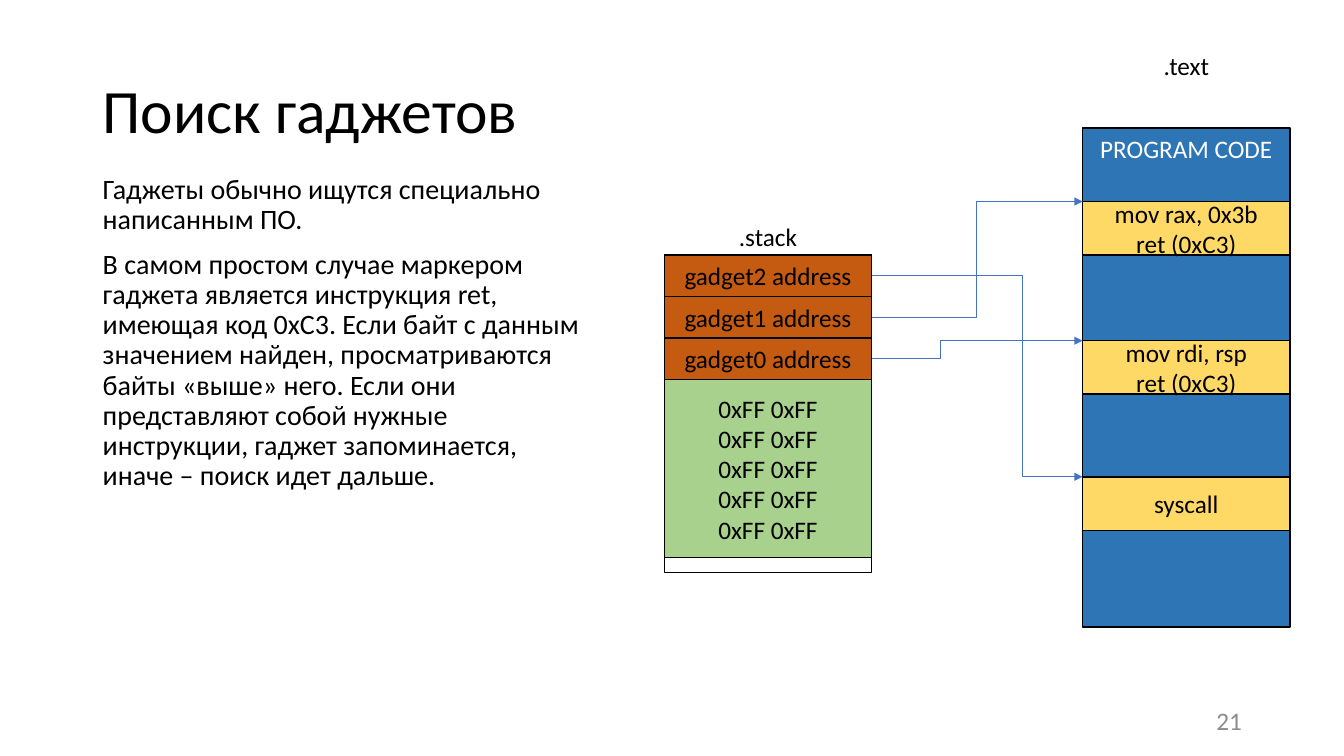
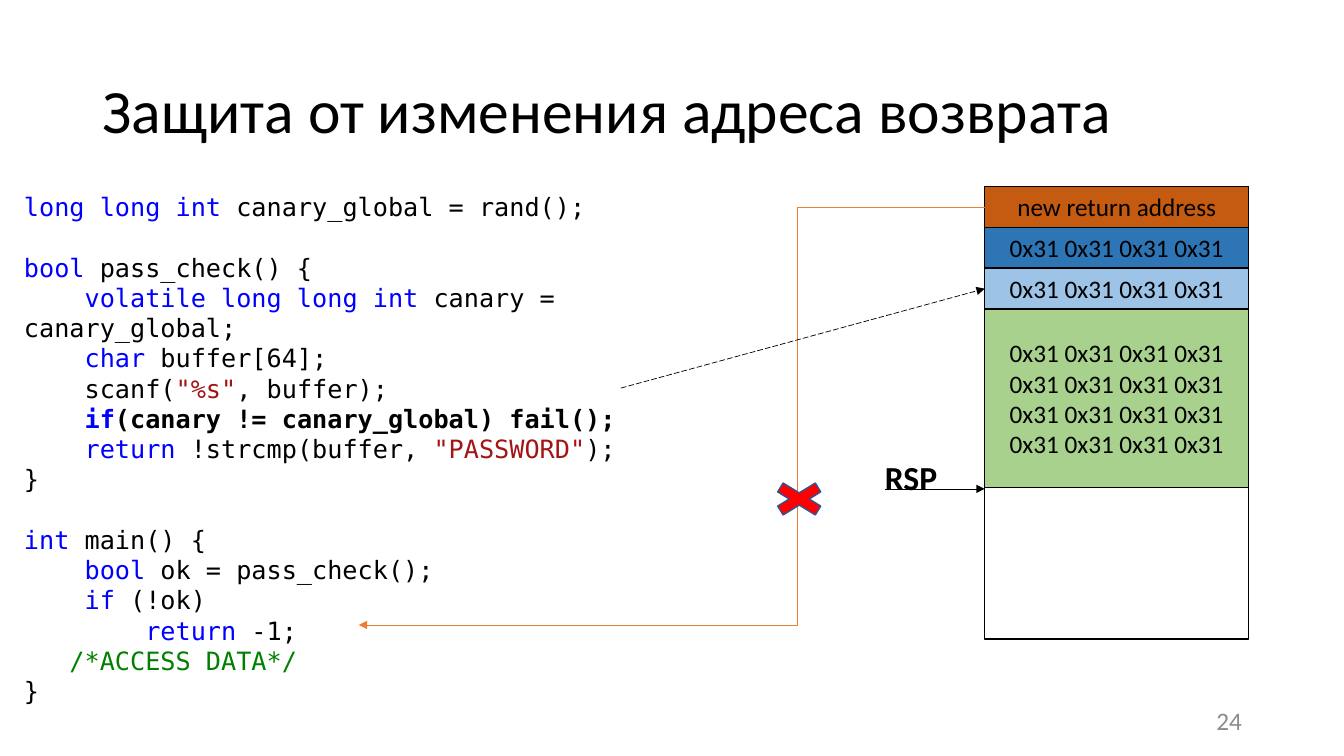
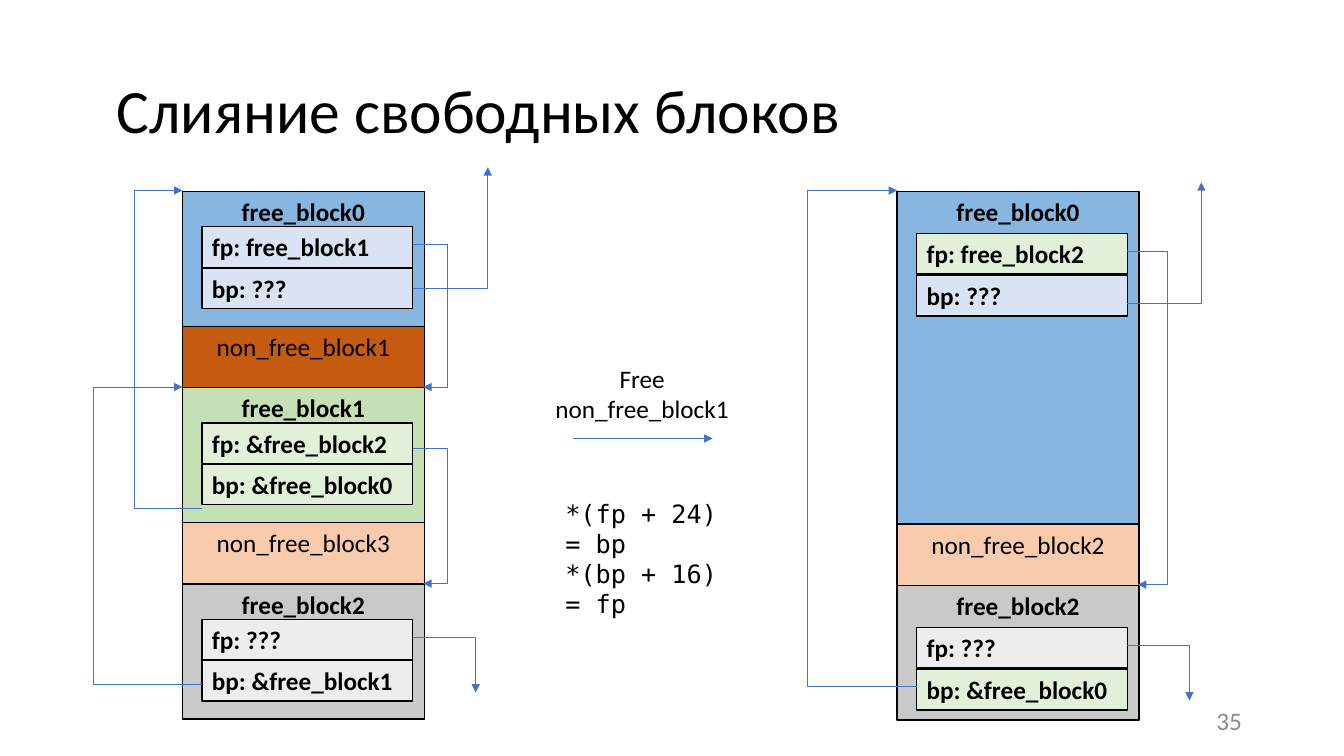
from dataclasses import dataclass

from lxml import etree
from pptx import Presentation
from pptx import util as u
from pptx.dml import color
from pptx.enum import dml, shapes, text
from pptx.oxml import ns


@dataclass(frozen=True)
class Theme:
    sans: str = "Calibri"
    mono: str = "DejaVu Sans Mono"
    title_size: float = 44
    mark_size: float = 24
    body_size: float = 20
    label_size: float = 18
    code_pitch: float = 21.6
    outline: float = 1
    wire: float = 0.5
    black: str = "000000"
    white: str = "FFFFFF"
    grey: str = "8C8C8C"
    link: str = "4472C4"
    orange: str = "ED7D31"
    red: str = "FF0000"
    cross_edge: str = "325491"
    rust: str = "C55A11"
    peach: str = "F8CBAD"
    yellow: str = "FFD966"
    deep_blue: str = "2E75B6"
    light_blue: str = "9DC3E6"
    block_blue: str = "87B6E1"
    field_blue: str = "DAE3F3"
    green: str = "A9D18E"
    block_green: str = "C5E0B4"
    field_green: str = "E2F0D9"
    block_grey: str = "C9C9C9"
    field_grey: str = "EDEDED"
    keyword: str = "0000FF"
    string: str = "A31515"
    comment: str = "008000"


THEME = Theme()
LEFT, CENTER, RIGHT = text.PP_ALIGN.LEFT, text.PP_ALIGN.CENTER, text.PP_ALIGN.RIGHT
TOP, MIDDLE = text.MSO_ANCHOR.TOP, text.MSO_ANCHOR.MIDDLE


@dataclass(frozen=True)
class Box:
    x: float
    y: float
    w: float
    h: float

    @property
    def right(self):
        return self.x + self.w

    @property
    def middle(self):
        return self.y + self.h / 2

    def offset_box(self, dx, dy, w, h):
        return Box(self.x + dx, self.y + dy, w, h)

    def lengths(self):
        return [u.Pt(value) for value in (self.x, self.y, self.w, self.h)]


TITLE = Box(66.2, 28.8, 828, 104.4)
NUMBER = Box(678.2, 500.4, 216, 28.8)


def rgb(value):
    return color.RGBColor.from_string(value)


def style(span, size, ink=THEME.black, bold=False, face=THEME.sans):
    span.font.name = face
    span.font.size = u.Pt(size)
    span.font.bold = bold
    span.font.color.rgb = rgb(ink)


def write(frame, words, size=THEME.label_size, align=LEFT, anchor=TOP, **look):
    """Fill a text frame, one paragraph for each line of words."""
    frame.text = words
    frame.vertical_anchor = anchor
    for para in frame.paragraphs:
        para.alignment = align
        for span in para.runs:
            style(span, size, **look)


def place(placeholder, box):
    placeholder.left, placeholder.top, placeholder.width, placeholder.height = box.lengths()
    placeholder.text_frame.auto_size = text.MSO_AUTO_SIZE.NONE
    return placeholder.text_frame


def label(page, box, words, wrap=True, **look):
    frame = page.shapes.add_textbox(*box.lengths()).text_frame
    frame.word_wrap = wrap
    write(frame, words, **look)


def figure(page, kind, box, fill=None, edge=THEME.black):
    shape = page.shapes.add_shape(kind, *box.lengths())
    shape.shadow.inherit = False
    if fill:
        shape.fill.solid()
        shape.fill.fore_color.rgb = rgb(fill)
    else:
        shape.fill.background()
    shape.line.color.rgb = rgb(edge)
    shape.line.width = u.Pt(THEME.outline)
    return shape


def cell(page, box, fill=None, words="", align=CENTER, anchor=MIDDLE, **look):
    shape = figure(page, shapes.MSO_SHAPE.RECTANGLE, box, fill)
    if words:
        write(shape.text_frame, words, align=align, anchor=anchor, **look)


def arrow(page, start, end, kind=shapes.MSO_CONNECTOR.STRAIGHT, ink=THEME.link, dash=None):
    points = [u.Pt(value) for value in (*start, *end)]
    line = page.shapes.add_connector(kind, *points)
    line.line.color.rgb = rgb(ink)
    line.line.width = u.Pt(THEME.wire)
    if dash:
        line.line.dash_style = dash
    properties = line._element.spPr
    etree.SubElement(properties.find(ns.qn("a:ln")), ns.qn("a:tailEnd"), type="triangle")
    etree.SubElement(properties, ns.qn("a:effectLst"))
    return line


def elbow(page, start, end, bend=None, ink=THEME.link):
    """Bent arrow turning at x = bend, or with one corner when bend is None."""
    line = arrow(page, start, end, shapes.MSO_CONNECTOR.ELBOW, ink)
    geometry = line._element.spPr.find(ns.qn("a:prstGeom"))
    if bend is None:
        geometry.set("prst", "bentConnector2")
        return
    share = round(100000 * (bend - start[0]) / (end[0] - start[0]))
    guides = geometry.find(ns.qn("a:avLst"))
    etree.SubElement(guides, ns.qn("a:gd"), name="adj1", fmla=f"val {share}")


def new_page(deck, layout, title, number, indent=0):
    page = deck.slides.add_slide(deck.slide_layouts.get_by_name(layout))
    frame = place(page.shapes.title, TITLE)
    write(frame, title, size=THEME.title_size, anchor=MIDDLE)
    frame.margin_left = u.Pt(7.2 + indent)
    frame.paragraphs[0].line_spacing = 0.9
    label(page, NUMBER, str(number), align=RIGHT, anchor=MIDDLE, ink=THEME.grey)
    return page


def body_text(page, box, words):
    frame = place(page.placeholders[1], box)
    frame.text = words
    for index, para in enumerate(frame.paragraphs):
        properties = para._p.get_or_add_pPr()
        properties.set("marL", "0")
        properties.set("indent", "0")
        etree.SubElement(properties, ns.qn("a:buNone"))
        para.line_spacing = 0.9
        para.space_before = u.Pt(10 if index else 0)
        for span in para.runs:
            style(span, THEME.body_size)


def stack(page, box, cells):
    """Outline the box, fill it from the top with (height, fill, words), return the cells' boxes."""
    cell(page, box)
    placed, top = [], 0
    for height, fill, words in cells:
        placed.append(box.offset_box(0, top, box.w, height))
        cell(page, placed[-1], fill, words)
        top += height
    return placed


def program_memory(page, box, gadgets):
    """Draw the code column with (offset, words) gadgets; return their entry points."""
    cell(page, box, THEME.deep_blue, "PROGRAM CODE", anchor=TOP, ink=THEME.white)
    for offset, words in gadgets:
        cell(page, box.offset_box(0, offset, box.w, 38.2), THEME.yellow, words)
    return [(box.x, box.y + offset) for offset, _ in gadgets]


def code_listing(page, box, lines):
    """Write lines of (kind, words) spans; an empty line becomes space before the next."""
    frame = page.shapes.add_textbox(*box.lengths()).text_frame
    frame.word_wrap = True
    inks = {"plain": THEME.black, "bold": THEME.black, "key": THEME.keyword,
            "boldkey": THEME.keyword, "string": THEME.string, "comment": THEME.comment}
    para, gap = frame.paragraphs[0], 0
    for index, line in enumerate(lines):
        if not line:
            gap = THEME.code_pitch
            continue
        if index:
            para = frame.add_paragraph()
        para.line_spacing = u.Pt(THEME.code_pitch)
        para.space_before = u.Pt(gap)
        gap = 0
        for kind, words in line:
            span = para.add_run()
            span.text = words
            style(span, THEME.label_size, inks[kind], kind.startswith("bold"), THEME.mono)


def heap(page, box, blocks, field_top, field_step, links):
    """Stack (name, height, fill, fields) blocks, then draw links relative to the box."""
    top = 0
    for name, height, fill, fields in blocks:
        block = box.offset_box(0, top, box.w, height)
        cell(page, block, fill, name, anchor=TOP, bold=bool(fields))
        for row, (words, field_fill) in enumerate(fields):
            field = block.offset_box(14, field_top + row * field_step, 150.5, 29)
            cell(page, field, field_fill, words, align=LEFT, anchor=TOP, bold=True)
        top += height
    for (x1, y1), (x2, y2), bend in links:
        elbow(page, (box.x + x1, box.y + y1), (box.x + x2, box.y + y2),
              None if bend is None else box.x + bend)


def gadget_page(deck):
    page = new_page(deck, "Title and Content", "Поиск гаджетов", 21)
    body_text(page, Box(66.2, 121.7, 362.2, 356.4), (
        "Гаджеты обычно ищутся специально написанным ПО.\n"
        "В самом простом случае маркером гаджета является инструкция ret, имеющая код 0xC3. "
        "Если байт с данным значением найден, просматриваются байты «выше» него. "
        "Если они представляют собой нужные инструкции, гаджет запоминается, "
        "иначе – поиск идет дальше."))
    stack_box = Box(474.5, 182.2, 148.2, 226.8)
    code_box = Box(773.3, 91.4, 148.2, 356.4)
    for box, rise, words in ((stack_box, 27.4, ".stack"), (code_box, 59, ".text")):
        label(page, box.offset_box(0, -rise, box.w, 29), words, align=CENTER)
    addresses = [(29.6, THEME.rust, f"gadget{n} address") for n in (2, 1, 0)]
    filler = (127.4, THEME.green, "\n".join(["0xFF 0xFF"] * 5))
    rows = stack(page, stack_box, [*addresses, filler])
    entries = program_memory(page, code_box, [
        (52.6, "mov rax, 0x3b\nret (0xC3)"),
        (152, "mov rdi, rsp\nret (0xC3)"),
        (249.2, "syscall")])
    for row, entry, bend in ((0, 2, 730.5), (1, 0, 697.7), (2, 1, 672)):
        elbow(page, (rows[row].right, rows[row].middle), entries[entry], bend)


def canary_page(deck):
    page = new_page(deck, "Title Only", "Защита от изменения адреса возврата", 24)
    code_listing(page, Box(10, 133.2, 531.4, 356.4), [
        [("key", "long long int "), ("plain", "canary_global = rand();")],
        [],
        [("key", "bool"), ("plain", " pass_check() {")],
        [("key", "    volatile long long int "), ("plain", "canary = canary_global;")],
        [("key", "    char"), ("plain", " buffer[64];")],
        [("plain", "    scanf("), ("string", '"%s"'), ("plain", ", buffer);")],
        [("boldkey", "    if"), ("bold", "(canary != canary_global) fail();")],
        [("key", "    return"), ("plain", " !strcmp(buffer, "),
         ("string", '"PASSWORD"'), ("plain", ");")],
        [("plain", "}")],
        [],
        [("key", "int"), ("plain", " main() {")],
        [("key", "    bool"), ("plain", " ok = pass_check();")],
        [("key", "    if"), ("plain", " (!ok)")],
        [("key", "        return"), ("plain", " -1;")],
        [("comment", "   /*ACCESS DATA*/")],
        [("plain", "}")]])
    overflow = "0x31 0x31 0x31 0x31"
    rows = stack(page, Box(703.4, 133.2, 188.6, 323.3), [
        (29.2, THEME.rust, "new return address"),
        (29.2, THEME.deep_blue, overflow),
        (29.2, THEME.light_blue, overflow),
        (127.4, THEME.green, "\n".join([overflow] * 4))])
    returned, _, canary, buffer = rows
    label(page, Box(625, 322.6, 52.6, 36), "RSP", wrap=False, size=THEME.mark_size, bold=True)
    arrow(page, (632.2, 349.2), (buffer.x, 349.2), ink=THEME.black)
    elbow(page, (returned.x, returned.middle), (256.3, 446.4), 569.5, THEME.orange)
    cross = figure(page, shapes.MSO_SHAPE.MATH_MULTIPLY, Box(545, 340.6, 51.8, 31.7),
                   THEME.red, THEME.cross_edge)
    cross.adjustments[0] = 0.235
    arrow(page, (443.5, 277.2), (canary.x, canary.middle), ink=THEME.black,
          dash=dml.MSO_LINE.LONG_DASH)


def merge_page(deck):
    page = new_page(deck, "Title Only", "Слияние свободных блоков", 35, indent=10)
    blue, green, grey = THEME.field_blue, THEME.field_green, THEME.field_grey
    heap(page, Box(130.3, 136.8, 172.8, 376.6), [
        ("free_block0", 96.4, THEME.block_blue, [("fp: free_block1", blue), ("bp: ???", blue)]),
        ("non_free_block1", 43.8, THEME.rust, []),
        ("free_block1", 96.4, THEME.block_green,
         [("fp: &free_block2", green), ("bp: &free_block0", green)]),
        ("non_free_block3", 43.8, THEME.peach, []),
        ("free_block2", 96.4, THEME.block_grey, [("fp: ???", grey), ("bp: &free_block1", grey)]),
    ], 25.2, 29.4, [
        ((164.5, 37.4), (172, 139.7), 189.4),
        ((164.5, 183.6), (172, 280.1), 189.4),
        ((14, 226.1), (0, -0.7), -34.5),
        ((14, 352.1), (0, 139.7), -63.3),
        ((164.5, 69.1), (218.2, -17.3), None),
        ((164.5, 318.2), (209.5, 357.8), None)])
    label(page, Box(388.8, 255.6, 139.7, 51), "Free\nnon_free_block1", wrap=False, align=CENTER)
    arrow(page, (409, 313.2), (509, 313.2))
    code_listing(page, Box(396.7, 352.1, 139.7, 94), [
        [("plain", "*(fp + 24) = bp")],
        [("plain", "*(bp + 16) = fp")]])
    heap(page, Box(640.8, 136.8, 172.8, 377.6), [
        ("free_block0", 237.6, THEME.block_blue, [("fp: free_block2", green), ("bp: ???", blue)]),
        ("non_free_block2", 43.8, THEME.peach, []),
        ("free_block2", 96.2, THEME.block_grey, [("fp: ???", grey), ("bp: &free_block0", green)]),
    ], 30, 30, [
        ((164.5, 42.5), (172, 280.8), 193),
        ((14, 353.5), (0, -0.7), -64.1),
        ((164.5, 79.9), (217.4, -6.5), None),
        ((164.5, 324), (208.8, 363.6), None)])


def main():
    deck = Presentation()
    deck.slide_width, deck.slide_height = u.Pt(960), u.Pt(540)
    for build in (gadget_page, canary_page, merge_page):
        build(deck)
    deck.save("out.pptx")


if __name__ == "__main__":
    main()
